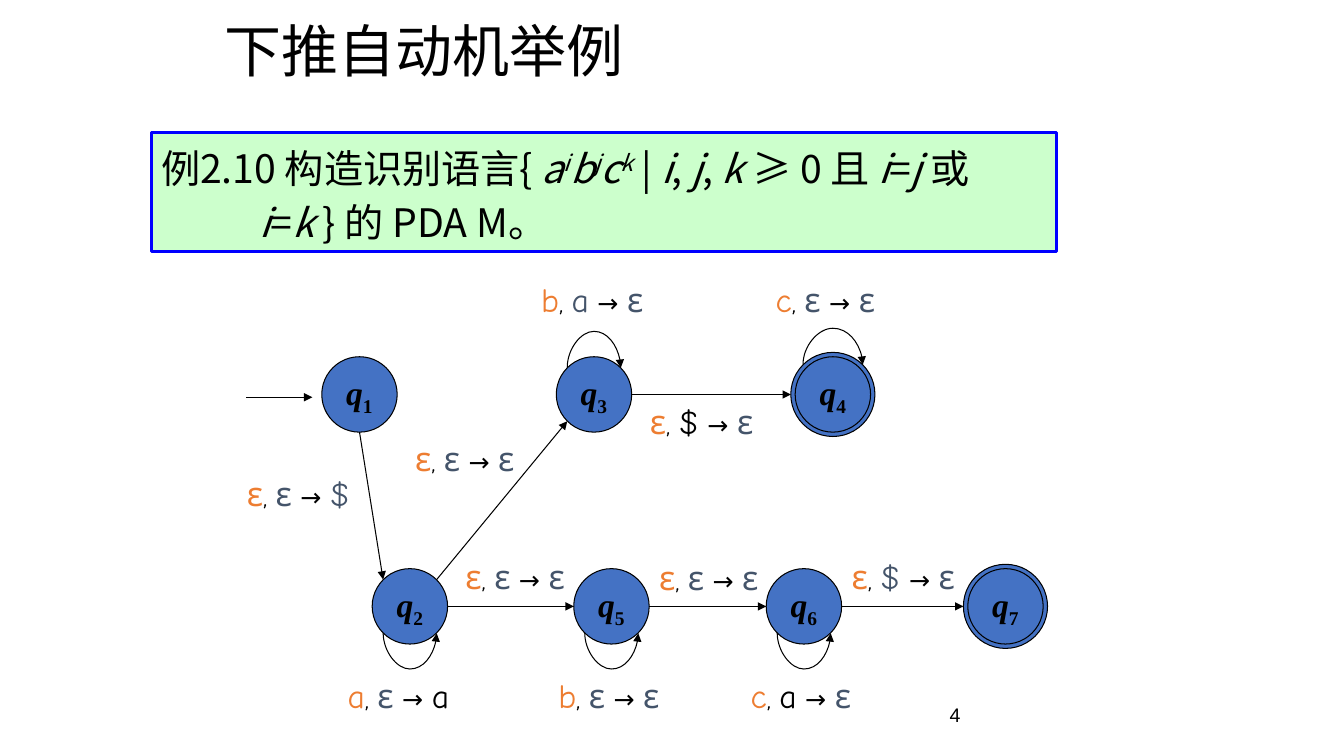
from lxml import etree
from pptx import Presentation
from pptx.dml.color import RGBColor
from pptx.enum.shapes import MSO_CONNECTOR, MSO_SHAPE
from pptx.enum.text import MSO_ANCHOR, MSO_AUTO_SIZE, PP_ALIGN
from pptx.oxml.ns import qn
from pptx.util import Cm, Pt

OVAL, RECTANGLE = MSO_SHAPE.OVAL, MSO_SHAPE.RECTANGLE
STRAIGHT, CURVE = MSO_CONNECTOR.STRAIGHT, MSO_CONNECTOR.CURVE
TOP, MIDDLE = MSO_ANCHOR.TOP, MSO_ANCHOR.MIDDLE
LEFT, CENTER = PP_ALIGN.LEFT, PP_ALIGN.CENTER
NO_AUTOFIT = MSO_AUTO_SIZE.NONE

BLACK, BLUE, SLATE, ORANGE = "000000", "4472C4", "44546A", "ED7D31"
HAN, HAND, SERIF, SANS = "Noto Sans CJK SC", "Comic Neue", "Times New Roman", "Arial"

RADIUS, RING_RADIUS = 0.95, 1.06
DIAGONAL = 0.71
UPPER_ROW, LOWER_ROW = 9.94, 15.28
STATES = {
    "1": (9.06, UPPER_ROW), "2": (10.33, LOWER_ROW), "3": (14.97, UPPER_ROW),
    "4": (20.99, UPPER_ROW), "5": (15.41, LOWER_ROW), "6": (20.26, LOWER_ROW),
    "7": (25.34, LOWER_ROW),
}
ACCEPTING = "47"
DOWN, RIGHTWARD, LEFTWARD = (0, 1), (1, 0), (-1, 0)
UP_LEFT, UP_RIGHT = (-DIAGONAL, -DIAGONAL), (DIAGONAL, -DIAGONAL)
DOWN_LEFT = (-DIAGONAL, DIAGONAL)
TRANSITIONS = [
    ("1", DOWN, "2", UP_LEFT), ("2", UP_RIGHT, "3", DOWN_LEFT),
    ("3", RIGHTWARD, "4", LEFTWARD), ("2", RIGHTWARD, "5", LEFTWARD),
    ("5", RIGHTWARD, "6", LEFTWARD), ("6", RIGHTWARD, "7", LEFTWARD),
]
LOOPS = [("3", True), ("4", True), ("2", False), ("5", False), ("6", False)]
LOOP_DEPTH, LOOP_THICKNESS = 0.91, 0.01
LABELS = [
    (13.39, 6.91, "b", "a", SLATE, "ε", SLATE),
    (19.3, 6.91, "c", "ε", SLATE, "ε", SLATE),
    (16.13, 9.98, "ε", "$", BLACK, "ε", SLATE),
    (10.21, 10.92, "ε", "ε", SLATE, "ε", SLATE),
    (5.97, 11.79, "ε", "ε", SLATE, "$", SLATE),
    (11.48, 13.89, "ε", "ε", SLATE, "ε", SLATE),
    (16.36, 13.92, "ε", "ε", SLATE, "ε", SLATE),
    (21.21, 13.89, "ε", "$", SLATE, "ε", SLATE),
    (8.51, 16.87, "a", "ε", SLATE, "a", BLACK),
    (13.82, 16.87, "b", "ε", SLATE, "ε", SLATE),
    (18.67, 16.87, "c", "a", BLACK, "ε", SLATE),
]
PLAIN, ITALIC, POWER = {}, {"italic": True}, {"italic": True, "baseline": 30}
STATEMENT = [
    ("例2.10 构造识别语言{ ", PLAIN), ("a", ITALIC), ("i", POWER), ("b", ITALIC),
    ("j", POWER), ("c", ITALIC), ("k", POWER), (" | ", PLAIN), ("i", ITALIC),
    (", ", PLAIN), ("j", ITALIC), (", ", PLAIN), ("k ", ITALIC), ("≥ 0 且 ", PLAIN),
    ("i", ITALIC), ("=", PLAIN), ("j ", ITALIC), ("或 ", PLAIN), ("i", ITALIC),
    ("=", PLAIN), ("k", ITALIC), (" } 的 PDA M。", PLAIN),
]


def color(value):
    """Turn a hex string into a colour."""
    return RGBColor.from_string(value)


def add_span(para, text, size=24, font=HAN, fill=BLACK, bold=False, italic=False, baseline=0):
    """Append a formatted run to a paragraph."""
    span = para.add_run()
    span.text = text
    span.font.size, span.font.name = Pt(size), font
    span.font.bold, span.font.italic = bold, italic
    span.font.color.rgb = color(fill)
    properties = span.font._element
    etree.SubElement(properties, qn("a:ea")).set("typeface", font)
    if baseline:
        properties.set("baseline", str(baseline * 1000))


def prepare_text(box, anchor=TOP, align=LEFT, wrap=True):
    """Set up a text frame and return its first paragraph."""
    frame = box.text_frame
    frame.word_wrap, frame.auto_size = wrap, NO_AUTOFIT
    frame.vertical_anchor = anchor
    para = frame.paragraphs[0]
    para.alignment = align
    return para


def add_text_box(page, left, top, width, height, **layout):
    """Add a text box and return its first paragraph."""
    box = page.shapes.add_textbox(Cm(left), Cm(top), Cm(width), Cm(height))
    return prepare_text(box, **layout)


def add_outlined(page, kind, left, top, width, height, fill, line=BLACK, weight=0.75):
    """Add a filled and outlined shape."""
    shape = page.shapes.add_shape(kind, Cm(left), Cm(top), Cm(width), Cm(height))
    shape.shadow.inherit = False
    shape.fill.solid()
    shape.fill.fore_color.rgb = color(fill)
    shape.line.color.rgb = color(line)
    shape.line.width = Pt(weight)
    return shape


def add_circle(page, center, radius):
    """Add a state circle around a centre."""
    x, y = center
    return add_outlined(page, OVAL, x - radius, y - radius, 2 * radius, 2 * radius, BLUE)


def add_state(page, number):
    """Add a state, with an outer ring if it accepts."""
    if number in ACCEPTING:
        add_circle(page, STATES[number], RING_RADIUS)
    circle = add_circle(page, STATES[number], RADIUS)
    para = prepare_text(circle, anchor=MIDDLE, align=CENTER, wrap=False)
    add_span(para, "q", font=SERIF, bold=True, italic=True)
    add_span(para, number, font=SERIF, bold=True, baseline=-25)


def outer_radius(number):
    """Give the radius of a state's outermost circle."""
    return RING_RADIUS if number in ACCEPTING else RADIUS


def rim_point(number, direction):
    """Find the point on a state's rim in a direction."""
    return [middle + outer_radius(number) * step for middle, step in zip(STATES[number], direction)]


def add_arrow(page, start, end, kind=STRAIGHT):
    """Add a thin black arrow between two points."""
    arrow = page.shapes.add_connector(kind, *(Cm(value) for value in (*start, *end)))
    arrow.line.color.rgb = color(BLACK)
    arrow.line.width = Pt(0.75)
    etree.SubElement(arrow.line._get_or_add_ln(), qn("a:tailEnd")).set("type", "triangle")
    etree.SubElement(arrow._element.spPr, qn("a:effectLst"))
    return arrow


def add_loop(page, number, above):
    """Add a curved arrow from a state to itself."""
    x, y = STATES[number]
    reach = outer_radius(number) * DIAGONAL
    y += -reach if above else reach
    half = LOOP_THICKNESS / 2
    if above:
        start, end, turn, sign = (x - half, y + reach), (x + half, y - reach), 90, -1
    else:
        start, end, turn, sign = (x + half, y - reach), (x - half, y + reach), 270, 1
    properties = add_arrow(page, start, end, CURVE)._element.spPr
    properties.find(qn("a:xfrm")).set("rot", str(turn * 60000))
    geometry = properties.find(qn("a:prstGeom"))
    guides = geometry.find(qn("a:avLst"))
    if guides is None:
        guides = etree.SubElement(geometry, qn("a:avLst"))
    guide = etree.SubElement(guides, qn("a:gd"))
    guide.set("name", "adj1")
    guide.set("fmla", f"val {round(sign * LOOP_DEPTH / LOOP_THICKNESS * 100000)}")


def add_label(page, left, top, read, pop, pop_fill, push, push_fill):
    """Add a transition label: symbol read, symbol popped, symbol pushed."""
    para = add_text_box(page, left, top, 3.6, 1.27)
    add_span(para, read, font=HAND, fill=ORANGE)
    add_span(para, ", ", size=18, font=HAND)
    add_span(para, pop, font=HAND, fill=pop_fill)
    add_span(para, " → ", size=18, font=HAND)
    add_span(para, push, font=HAND, fill=push_fill)


def add_statement(page):
    """Add the framed example with a hanging indent."""
    frame = add_outlined(page, RECTANGLE, 3.81, 3.33, 22.81, 3, "CCFFCC", "0000FF", 2.25)
    para = prepare_text(frame)
    para.line_spacing = 1.15
    indents = para._p.get_or_add_pPr()
    indents.set("marL", str(Cm(2.49)))
    indents.set("indent", str(-Cm(2.49)))
    for text, style in STATEMENT:
        add_span(para, text, size=28, **style)


def main():
    """Build the pushdown automaton slide."""
    deck = Presentation()
    deck.slide_width, deck.slide_height = Cm(33.87), Cm(19.05)
    page = deck.slides.add_slide(deck.slide_layouts[6])
    title = add_text_box(page, 5.41, 0.53, 21.67, 1.75, anchor=MIDDLE)
    title.line_spacing = 0.8
    add_span(title, "下推自动机举例", size=40.7)
    add_statement(page)
    for number in STATES:
        add_state(page, number)
    add_arrow(page, (6.2, 10.01), (7.87, 10.01))
    for source, leaving, target, entering in TRANSITIONS:
        add_arrow(page, rim_point(source, leaving), rim_point(target, entering))
    for number, above in LOOPS:
        add_loop(page, number, above)
    for label in LABELS:
        add_label(page, *label)
    number = add_text_box(page, 21.11, 17.35, 5.92, 1.32, anchor=MIDDLE, align=CENTER)
    add_span(number, "4", size=14, font=SANS)
    deck.save("out.pptx")


if __name__ == "__main__":
    main()
